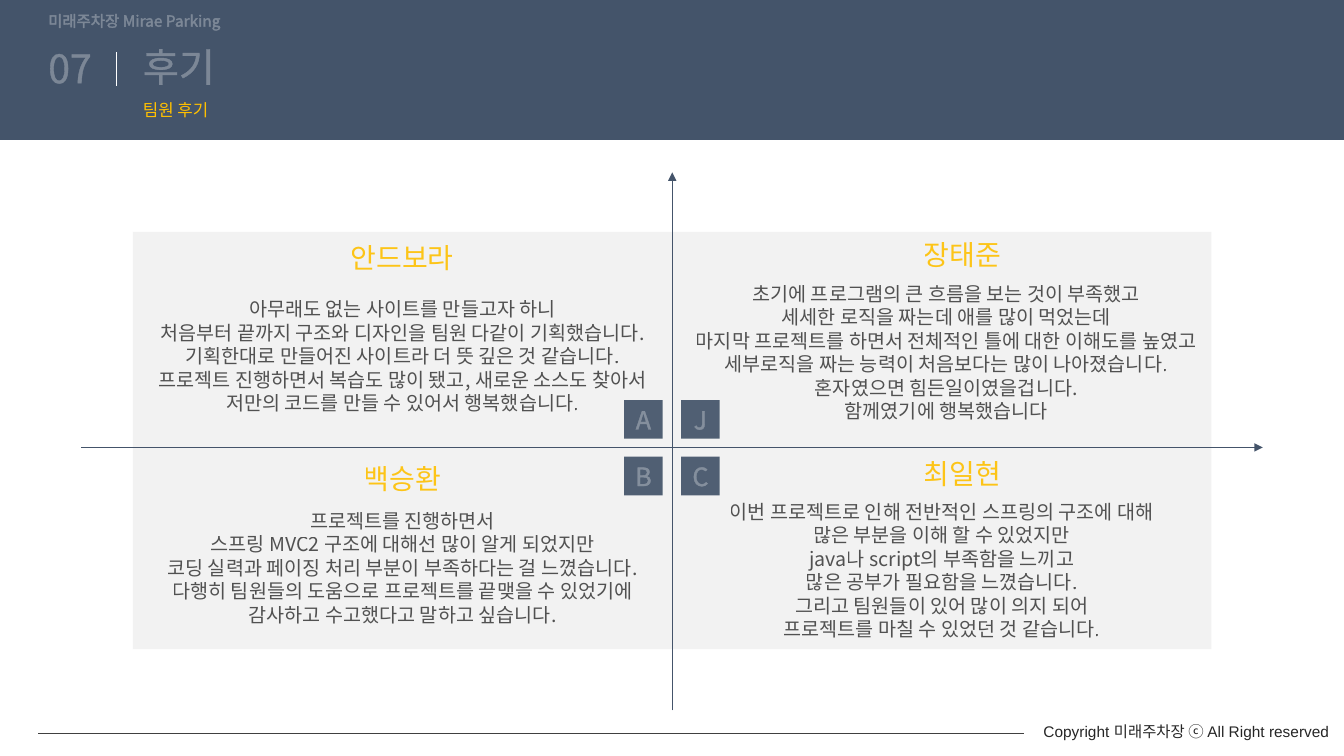
from pptx import Presentation, util as u
from pptx.dml import color, fill as dml
from pptx.enum import shapes, text
from pptx.oxml import parse_xml
from pptx.oxml.ns import nsdecls, qn
from lxml import etree

NAVY, WHITE, GOLD = "44546A", "FFFFFF", "FFC000"
GREY, DARK, PALE = "404040", "262626", "F2F2F2"
NOTO = "Noto Sans CJK KR"
CENTER = text.PP_ALIGN.CENTER
TOP, MIDDLE = text.MSO_ANCHOR.TOP, text.MSO_ANCHOR.MIDDLE

# letter, badge spot, name, name spot, review box, review lines
REVIEWS = [
    ("A", (445.8, 285.8), "안드보라", (216, 168.5), (95, 208, 385.2, 92.2), [
        "아무래도 없는 사이트를 만들고자 하니",
        "처음부터 끝까지 구조와 디자인을 팀원 다같이 기획했습니다.",
        "기획한대로 만들어진 사이트라 더 뜻 깊은 것 같습니다.",
        "프로젝트 진행하면서 복습도 많이 됐고, 새로운 소스도 찾아서",
        "저만의 코드를 만들 수 있어서 행복했습니다."]),
    ("J", (486.5, 285.8), "장태준", (616.3, 166.3), (486.7, 197.3, 378.7, 108.7), [
        "초기에 프로그램의 큰 흐름을 보는 것이 부족했고",
        "세세한 로직을 짜는데 애를 많이 먹었는데",
        "마지막 프로젝트를 하면서 전체적인 틀에 대한 이해도를 높였고 "
        "세부로직을 짜는 능력이 처음보다는 많이 나아졌습니다.",
        "혼자였으면 힘든일이였을겁니다.",
        "함께였기에 행복했습니다"]),
    ("B", (445.8, 326.2), "백승환", (216, 326.2), (95, 359.3, 385.2, 92.2), [
        "프로젝트를 진행하면서",
        "스프링 MVC2 구조에 대해선 많이 알게 되었지만",
        "코딩 실력과 페이징 처리 부분이 부족하다는 걸 느꼈습니다.",
        "다행히 팀원들의 도움으로 프로젝트를 끝맺을 수 있었기에",
        "감사하고 수고했다고 말하고 싶습니다."]),
    ("C", (486.5, 326.2), "최일현", (616.3, 322.6), (480.2, 352.8, 385.2, 108.7), [
        "이번 프로젝트로 인해 전반적인 스프링의 구조에 대해",
        "많은 부분을 이해 할 수 있었지만",
        "java나 script의 부족함을 느끼고",
        "많은 공부가 필요함을 느꼈습니다.",
        "그리고 팀원들이 있어 많이 의지 되어",
        "프로젝트를 마칠 수 있었던 것 같습니다."]),
]


def paint(fill, tone, alpha=100):
    """Fill with a hex colour at an opacity in percent."""
    fill.solid()
    fill.fore_color.rgb = color.RGBColor.from_string(tone)
    if alpha < 100:
        node = fill._xPr.find(qn("a:solidFill") + "/" + qn("a:srgbClr"))
        etree.SubElement(node, qn("a:alpha")).set("val", str(alpha * 1000))


def edge(font, tone):
    """Outline the letters with a faint line."""
    line = parse_xml(f'<a:ln {nsdecls("a")} w="9525"/>')
    font._element.insert(0, line)
    paint(dml.FillFormat.from_fill_parent(line), tone, 30)


def write(frame, lines, size, tone, rim, alpha=100, face=NOTO,
          align=None, anchor=TOP, wrap=True, lead=None):
    frame.word_wrap = wrap
    frame.vertical_anchor = anchor
    for i, line in enumerate(lines):
        para = frame.add_paragraph() if i else frame.paragraphs[0]
        para.text = line
        para.alignment = align
        para.line_spacing = lead
        font = para.font
        font.size = u.Pt(size)
        paint(font.fill, tone, alpha)
        font.name = face
        etree.SubElement(font._element, qn("a:ea")).set("typeface", NOTO)
        edge(font, rim)


def label(slide, box, lines, *args, **style):
    shape = slide.shapes.add_textbox(*map(u.Pt, box))
    write(shape.text_frame, lines, *args, **style)


def block(slide, box, tone, alpha=100):
    shape = slide.shapes.add_shape(
        shapes.MSO_SHAPE.RECTANGLE, *map(u.Pt, box))
    shape.shadow.inherit = False
    paint(shape.fill, tone, alpha)
    shape.line.fill.background()
    return shape


def rule(slide, ends, tone, width=0.5, arrow=False):
    line = slide.shapes.add_connector(
        shapes.MSO_CONNECTOR.STRAIGHT, *map(u.Pt, ends))
    paint(line.line.fill, tone)
    line.line.width = u.Pt(width)
    if arrow:
        tip = etree.SubElement(line.line._get_or_add_ln(), qn("a:tailEnd"))
        tip.set("type", "triangle")
    etree.SubElement(line._element.spPr, qn("a:effectLst"))


def header(slide):
    block(slide, (0, 0, 960, 100), NAVY)
    rule(slide, (83.3, 37.3, 83.3, 61.3), WHITE, 1)
    for box, line, size, tone, rim, anchor in [
            ((27.4, 31.7, 67.7, 37.4), "07", 28, WHITE, WHITE, TOP),
            ((95, 30.2, 328.3, 38.2), "후기", 28, WHITE, WHITE, MIDDLE),
            ((95, 70.6, 328.3, 17.3), "팀원 후기", 12, GOLD, PALE, MIDDLE),
            ((27.4, 5.8, 167.8, 19.4), "미래주차장 Mirae Parking", 11,
             WHITE, WHITE, MIDDLE)]:
        label(slide, box, [line], size, tone, rim, anchor=anchor, lead=0.9)


def footer(slide):
    label(slide, (731.5, 512.6, 231.8, 20.9),
          ["Copyright 미래주차장 ⓒ All Right reserved"], 11, DARK, DARK,
          face="Arial", align=CENTER, wrap=False)
    rule(slide, (27.4, 524.2, 731.5, 524.2), GREY)


def main():
    deck = Presentation()
    deck.slide_width, deck.slide_height = u.Pt(960), u.Pt(540)
    slide = deck.slides.add_slide(deck.slide_layouts[6])
    footer(slide)
    header(slide)
    block(slide, (95, 165.6, 770.4, 298), PALE)
    rule(slide, (58.2, 319.6, 902, 319.6), NAVY, arrow=True)
    rule(slide, (480.2, 507.4, 480.2, 123.2), NAVY, arrow=True)
    for letter, spot, name, head, box, lines in REVIEWS:
        badge = block(slide, (*spot, 27.6, 27.6), NAVY, 93)
        write(badge.text_frame, [letter], 18, WHITE, WHITE,
              align=CENTER, anchor=MIDDLE)
        label(slide, box, lines, 14, GREY, GREY, alpha=90,
              align=CENTER, anchor=MIDDLE)
        label(slide, (*head, 142.6, 31.7), [name], 20, GOLD, GREY,
              alpha=90, align=CENTER)
    deck.save("out.pptx")


if __name__ == "__main__":
    main()
